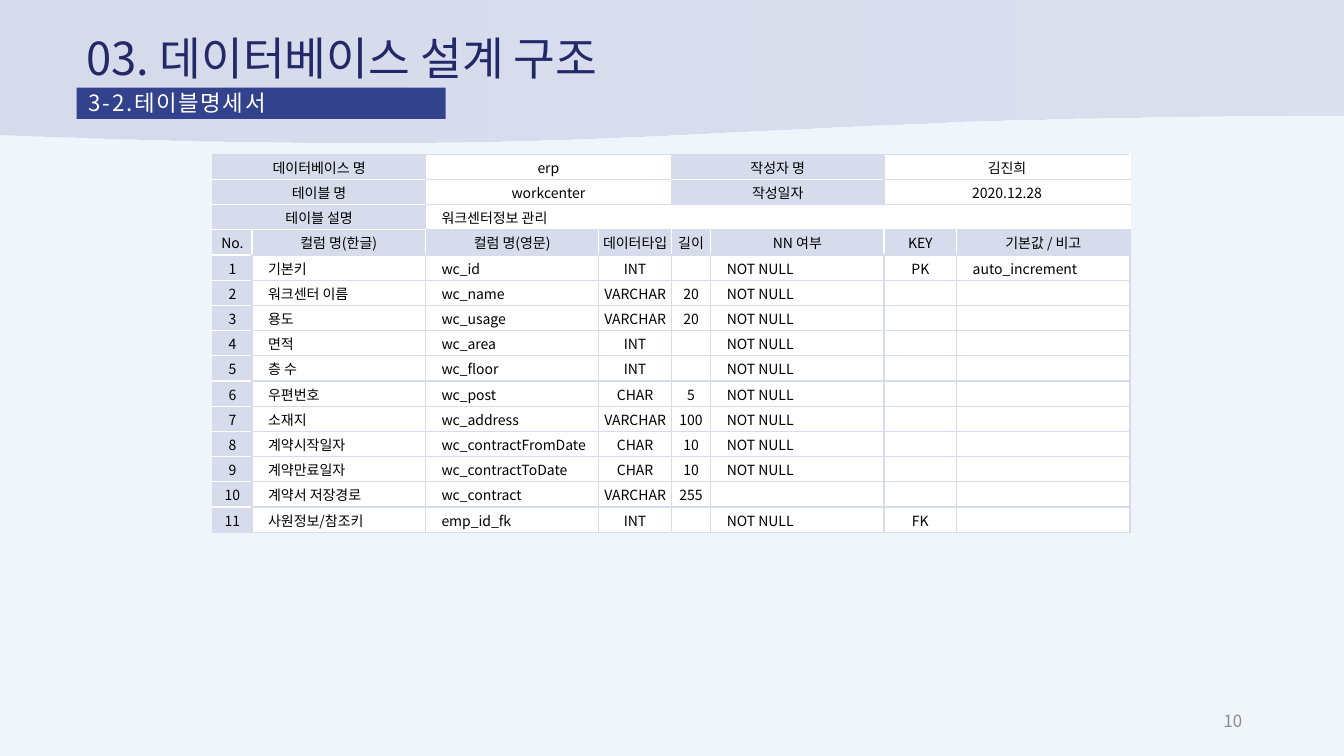
from lxml.etree import SubElement as Sub
from pptx import Presentation
from pptx.dml.color import RGBColor
from pptx.enum.shapes import MSO_SHAPE as Shape
from pptx.enum.text import MSO_ANCHOR as Anchor, PP_ALIGN as Align
from pptx.oxml.ns import qn
from pptx.util import Inches, Pt

FONT = "Noto Sans CJK KR"
LILAC, WHITE, BLACK = "D6DCEC", "FFFFFF", "000000"
PALE, NAVY, BLUE, GRAY = "EFF5FA", "232868", "33428C", "8C8C8C"
WIDTH, HEIGHT = 13.33, 7.5
LEFT = 0.76
ROW = 0.25
COLS = [0.39, 1.72, 1.72, 0.72, 0.39, 1.72, 0.72, 1.72]
CENTERED = {0, 3, 4, 6}

# Each entry: first column, last column, text
INFO = [
    [(0, 1, "데이터베이스 명"), (2, 3, "erp"), (4, 5, "작성자 명"), (6, 7, "김진희")],
    [(0, 1, "테이블 명"), (2, 3, "workcenter"), (4, 5, "작성일자"), (6, 7, "2020.12.28")],
    [(0, 1, "테이블 설명"), (2, 7, "워크센터정보 관리")],
]
HEADS = ["No.", "컬럼 명(한글)", "컬럼 명(영문)", "데이터타입", "길이",
         "NN 여부", "KEY", "기본값 / 비고"]
FIELDS = [
    ("기본키", "wc_id", "INT", "", "NOT NULL", "PK", "auto_increment"),
    ("워크센터 이름", "wc_name", "VARCHAR", "20", "NOT NULL", "", ""),
    ("용도", "wc_usage", "VARCHAR", "20", "NOT NULL", "", ""),
    ("면적", "wc_area", "INT", "", "NOT NULL", "", ""),
    ("층 수", "wc_floor", "INT", "", "NOT NULL", "", ""),
    ("우편번호", "wc_post", "CHAR", "5", "NOT NULL", "", ""),
    ("소재지", "wc_address", "VARCHAR", "100", "NOT NULL", "", ""),
    ("계약시작일자", "wc_contractFromDate", "CHAR", "10", "NOT NULL", "", ""),
    ("계약만료일자", "wc_contractToDate", "CHAR", "10", "NOT NULL", "", ""),
    ("계약서 저장경로", "wc_contract", "VARCHAR", "255", "", "", ""),
    ("사원정보/참조키", "emp_id_fk", "INT", "", "NOT NULL", "FK", ""),
]


def rgb(color):
    return RGBColor.from_string(color)


def write(frame, text, size, color, align=Align.LEFT):
    para = frame.paragraphs[0]
    para.text = text
    para.alignment = align
    font = para.font
    font.size, font.name = Pt(size), FONT
    font.color.rgb = rgb(color)
    props = para._p.pPr.find(qn("a:defRPr"))
    Sub(props, qn("a:ea"), typeface=FONT)
    if not text:
        Sub(para._p, qn("a:endParaRPr"), sz=str(size * 100))
    return para


def add_wave(slide):
    wave = slide.shapes.add_shape(Shape.FLOWCHART_DOCUMENT, 0, 0, Inches(WIDTH), Inches(1.43))
    wave.shadow.inherit = False
    wave.line.fill.background()
    wave.fill.gradient()
    wave.fill.gradient_angle = 0
    for stop in wave.fill.gradient_stops:
        stop.color.rgb = rgb(LILAC)
    last = list(wave._element.spPr.iter(qn("a:srgbClr")))[-1]
    Sub(last, qn("a:alpha"), val="80000")


def add_text(slide, box, text, size, color, align=Align.LEFT):
    frame = slide.shapes.add_textbox(*map(Inches, box)).text_frame
    frame.word_wrap = True
    frame.vertical_anchor = Anchor.MIDDLE
    write(frame, text, size, color, align)


def add_banner(slide, box, text):
    banner = slide.shapes.add_shape(Shape.RECTANGLE, *map(Inches, box))
    banner.shadow.inherit = False
    banner.line.fill.background()
    banner.fill.solid()
    banner.fill.fore_color.rgb = rgb(BLUE)
    frame = banner.text_frame
    frame.word_wrap = True
    frame.vertical_anchor = Anchor.TOP
    frame.margin_left = frame.margin_right = Inches(0.12)
    frame.margin_top, frame.margin_bottom = Inches(0.04), Inches(0.05)
    para = write(frame, text, 16, WHITE, Align.JUSTIFY)
    para.line_spacing = 0.9
    for run in para.runs:
        run._r.get_or_add_rPr().set("spc", "120")


def plan_cells():
    """Map each (row, column) to its span's first column and its fill."""
    plan = {}
    for row, spans in enumerate(INFO):
        for start, end, _ in spans:
            fill = LILAC if start in (0, 4) else WHITE
            for col in range(start, end + 1):
                plan[row, col] = start, fill
    head = len(INFO)
    for row in range(head, head + 1 + len(FIELDS)):
        for col in range(len(COLS)):
            plan[row, col] = col, LILAC if row == head or col == 0 else WHITE
    return plan


def paint(cell, row, col, plan):
    """Fill a cell; edges between two lilac cells are white, others lilac."""
    start, fill = plan[row, col]
    props = cell._tc.get_or_add_tcPr()
    sides = {"L": (0, -1), "R": (0, 1), "T": (-1, 0), "B": (1, 0)}
    for side, (down, across) in sides.items():
        near = plan.get((row + down, col + across))
        if near and down == 0 and near[0] == start:
            color = fill
        else:
            color = WHITE if near and near[1] == fill == LILAC else LILAC
        line = Sub(props, qn("a:ln" + side), w=str(Pt(1)))
        Sub(Sub(line, qn("a:solidFill")), qn("a:srgbClr"), val=color)
    cell.fill.solid()
    cell.fill.fore_color.rgb = rgb(fill)


def put(cell, text, center):
    cell.vertical_anchor = Anchor.MIDDLE
    cell.margin_left = Inches(0.01 if center else 0.16)
    cell.margin_right = cell.margin_top = Inches(0.01)
    cell.margin_bottom = 0
    write(cell.text_frame, text, 10, BLACK, Align.CENTER if center else Align.LEFT)


def add_spec(slide):
    plan = plan_cells()
    head = len(INFO)
    count = head + 1 + len(FIELDS)
    size = map(Inches, (2.11, 1.53, sum(COLS), count * ROW))
    table = slide.shapes.add_table(count, len(COLS), *size).table
    table.first_row = table.horz_banding = False
    for col, width in enumerate(COLS):
        table.columns[col].width = Inches(width)
    for row in table.rows:
        row.height = Inches(ROW)
    for row, col in plan:
        paint(table.cell(row, col), row, col, plan)
    for row, spans in enumerate(INFO):
        for start, end, text in spans:
            cell = table.cell(row, start)
            cell.merge(table.cell(row, end))
            put(cell, text, end - start == 1)
    lines = [HEADS] + [(str(num), *field) for num, field in enumerate(FIELDS, 1)]
    for row, line in enumerate(lines, head):
        for col, text in enumerate(line):
            put(table.cell(row, col), text, row == head or col in CENTERED)


def main():
    deck = Presentation()
    deck.slide_width, deck.slide_height = Inches(WIDTH), Inches(HEIGHT)
    slide = deck.slides.add_slide(deck.slide_layouts[6])
    slide.background.fill.solid()
    slide.background.fill.fore_color.rgb = rgb(PALE)
    add_wave(slide)
    add_text(slide, (9.42, 6.95, 3, 0.4), "10", 12, GRAY, Align.RIGHT)
    add_spec(slide)
    add_text(slide, (LEFT, 0.28, 8.55, 0.58), "03. 데이터베이스 설계 구조", 32.4, NAVY)
    add_banner(slide, (LEFT, 0.87, 3.66, 0.31), "3-2.테이블명세서")
    deck.save("out.pptx")


if __name__ == "__main__":
    main()
